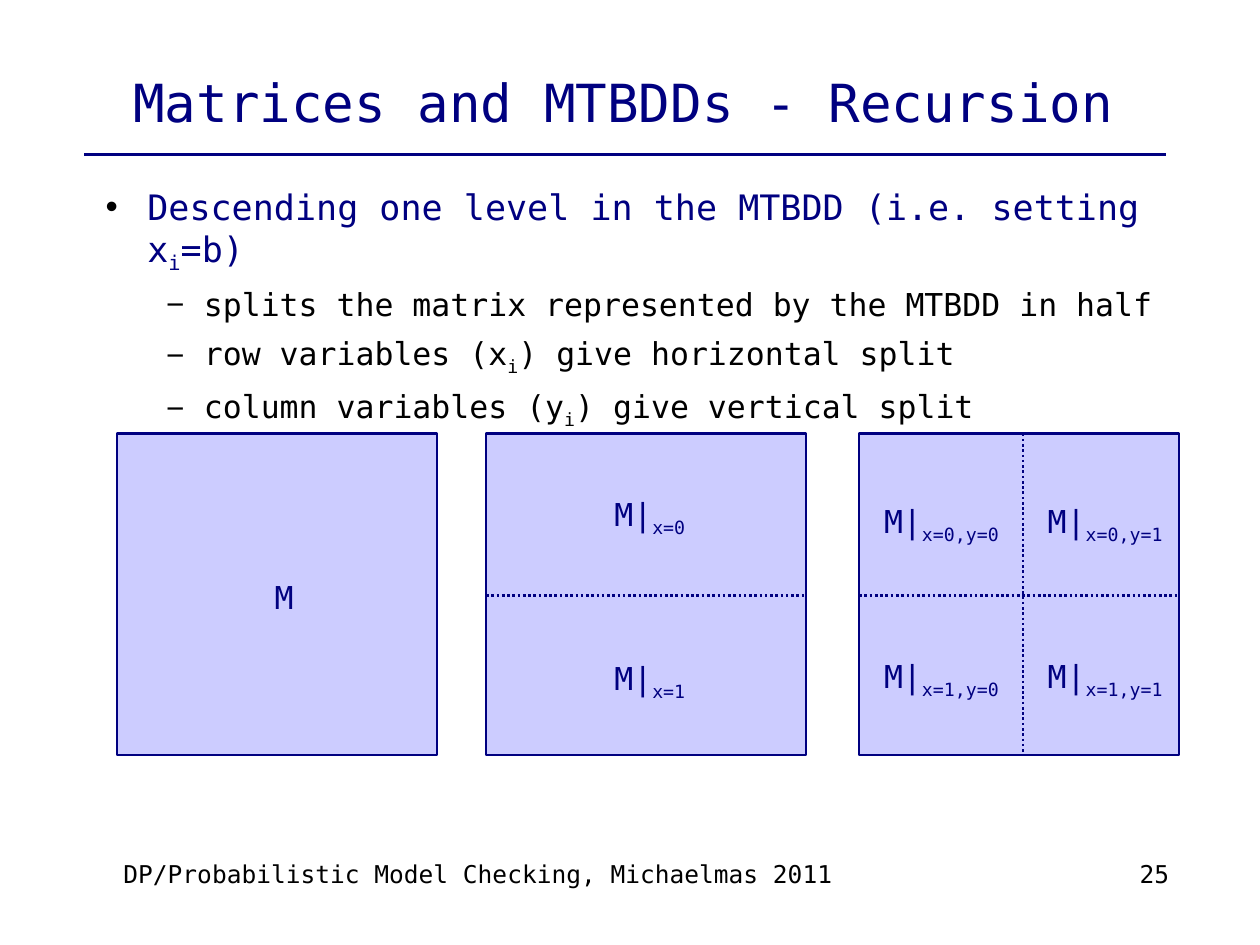
from lxml import etree
from pptx import Presentation
from pptx.dml.color import RGBColor
from pptx.enum.dml import MSO_LINE
from pptx.enum.shapes import MSO_CONNECTOR, MSO_SHAPE
from pptx.enum.text import MSO_ANCHOR, MSO_AUTO_SIZE, PP_ALIGN
from pptx.oxml.ns import qn
from pptx.util import Cm, Pt

STRAIGHT = MSO_CONNECTOR.STRAIGHT
RECTANGLE = MSO_SHAPE.RECTANGLE
DOTTED = MSO_LINE.ROUND_DOT
LEFT, CENTER, RIGHT = PP_ALIGN.LEFT, PP_ALIGN.CENTER, PP_ALIGN.RIGHT
TOP, MIDDLE = MSO_ANCHOR.TOP, MSO_ANCHOR.MIDDLE

FONT = "DejaVu Sans Mono"
COLORS = {"navy": "000080", "lilac": "CCCCFF", "black": "000000"}


def write_text(paragraph, pieces, size, color):
    """Write pieces that alternate between normal text and subscript."""
    for index, piece in enumerate(pieces):
        run = paragraph.add_run()
        run.text = piece
        run.font.name = FONT
        run.font.size = Pt(size)
        run.font.color.rgb = RGBColor.from_string(COLORS[color])
        if index % 2:
            run.font._element.set("baseline", "-25000")


def add_line(shapes, start, end, dash=None):
    line = shapes.add_connector(STRAIGHT, *[Cm(value) for value in start + end])
    line.line.color.rgb = RGBColor.from_string(COLORS["navy"])
    line.line.width = Pt(1.5)
    if dash:
        line.line.dash_style = dash
    etree.SubElement(line._element.spPr, qn("a:effectLst"))


presentation = Presentation()
presentation.slide_width = Cm(25.4)
presentation.slide_height = Cm(19.05)
slide = presentation.slides.add_slide(presentation.slide_layouts[1])
title, body = slide.placeholders

# Title, body and footer frames
footer = slide.shapes.add_textbox(0, 0, 0, 0)
page_number = slide.shapes.add_textbox(0, 0, 0, 0)
frames = [
    (title, (1.73, 0.94, 21.67, 2.18), MIDDLE),
    (body, (1.85, 3.73, 21.67, 13.2), TOP),
    (footer, (2.49, 17.35, 14.8, 1.32), TOP),
    (page_number, (19.48, 17.35, 4.09, 1.32), TOP),
]
for shape, box, anchor in frames:
    shape.left, shape.top, shape.width, shape.height = [Cm(value) for value in box]
    frame_format = {
        "margin_left": 0, "margin_top": 0, "margin_right": 0, "margin_bottom": 0,
        "word_wrap": True, "auto_size": MSO_AUTO_SIZE.NONE, "vertical_anchor": anchor,
    }
    for name, value in frame_format.items():
        setattr(shape.text_frame, name, value)

# Single-line texts
single_lines = [
    (title, "Matrices and MTBDDs - Recursion", CENTER, 1.04, 30, "navy"),
    (footer, "DP/Probabilistic Model Checking, Michaelmas 2011", LEFT, 0.96, 14, "black"),
    (page_number, "25", RIGHT, 0.96, 14, "black"),
]
for shape, text, alignment, spacing, size, color in single_lines:
    paragraph = shape.text_frame.paragraphs[0]
    paragraph.alignment = alignment
    paragraph.line_spacing = spacing
    write_text(paragraph, [text], size, color)

add_line(slide.shapes, (1.7, 3.12), (23.5, 3.12))

# Bulleted list
levels = [
    {"bullet": "•", "margin": 1.12, "indent": -0.84, "size": 20, "color": "navy"},
    {"bullet": "−", "margin": 2.26, "indent": -0.76, "size": 18, "color": "black"},
]
items = [
    (0, ["Descending one level in the MTBDD (i.e. setting x", "i", "=b)"]),
    (1, ["splits the matrix represented by the MTBDD in half"]),
    (1, ["row variables (x", "i", ") give horizontal split"]),
    (1, ["column variables (y", "i", ") give vertical split"]),
]
for index, (level, pieces) in enumerate(items):
    style = levels[level]
    frame = body.text_frame
    paragraph = frame.add_paragraph() if index else frame.paragraphs[0]
    paragraph.level = level
    properties = paragraph._p.get_or_add_pPr()
    properties.set("marL", str(Cm(style["margin"])))
    properties.set("indent", str(Cm(style["indent"])))
    bullet_color = etree.SubElement(properties, qn("a:buClr"))
    etree.SubElement(bullet_color, qn("a:srgbClr"), val=COLORS["black"])
    etree.SubElement(properties, qn("a:buChar"), char=style["bullet"])
    paragraph.space_before = Pt(6 if index else 0)
    write_text(paragraph, pieces, style["size"], style["color"])

# Matrices: whole, split by row, split by row and column
MATRIX_TOP, MATRIX_WIDTH, MATRIX_HEIGHT = 8.74, 6.45, 6.48
MATRIX_BOTTOM = MATRIX_TOP + MATRIX_HEIGHT
ROW_SPLIT, COLUMN_SPLIT = 12, 20.62
LABEL_WIDTH, LABEL_HEIGHT = 4.4, 0.96
matrices = [
    (2.36, False, False, [(3.53, 11.66, ["M"])]),
    (9.8, True, False, [(10.9, 9.93 + 3.3 * x, ["M|", f"x={x}"]) for x in (0, 1)]),
    (17.32, True, True, [(16.78 + 3.3 * y, 10.06 + 3.12 * x, ["M|", f"x={x},y={y}"])
                         for x in (0, 1) for y in (0, 1)]),
]
for left, split_rows, split_columns, labels in matrices:
    shapes = slide.shapes.add_group_shape().shapes
    square = shapes.add_shape(RECTANGLE, Cm(left), Cm(MATRIX_TOP),
                              Cm(MATRIX_WIDTH), Cm(MATRIX_HEIGHT))
    square.shadow.inherit = False
    square.fill.solid()
    square.fill.fore_color.rgb = RGBColor.from_string(COLORS["lilac"])
    square.line.color.rgb = RGBColor.from_string(COLORS["navy"])
    square.line.width = Pt(1.5)

    if split_rows:
        add_line(shapes, (left, ROW_SPLIT), (left + MATRIX_WIDTH, ROW_SPLIT), DOTTED)
    if split_columns:
        add_line(shapes, (COLUMN_SPLIT, MATRIX_TOP), (COLUMN_SPLIT, MATRIX_BOTTOM), DOTTED)

    for label_left, label_top, pieces in labels:
        label = shapes.add_textbox(Cm(label_left), Cm(label_top),
                                   Cm(LABEL_WIDTH), Cm(LABEL_HEIGHT))
        label.text_frame.word_wrap = True
        label.text_frame.auto_size = MSO_AUTO_SIZE.SHAPE_TO_FIT_TEXT
        paragraph = label.text_frame.paragraphs[0]
        paragraph.alignment = CENTER
        paragraph.line_spacing = 0.82
        write_text(paragraph, pieces, 18, "navy")

presentation.save("out.pptx")
